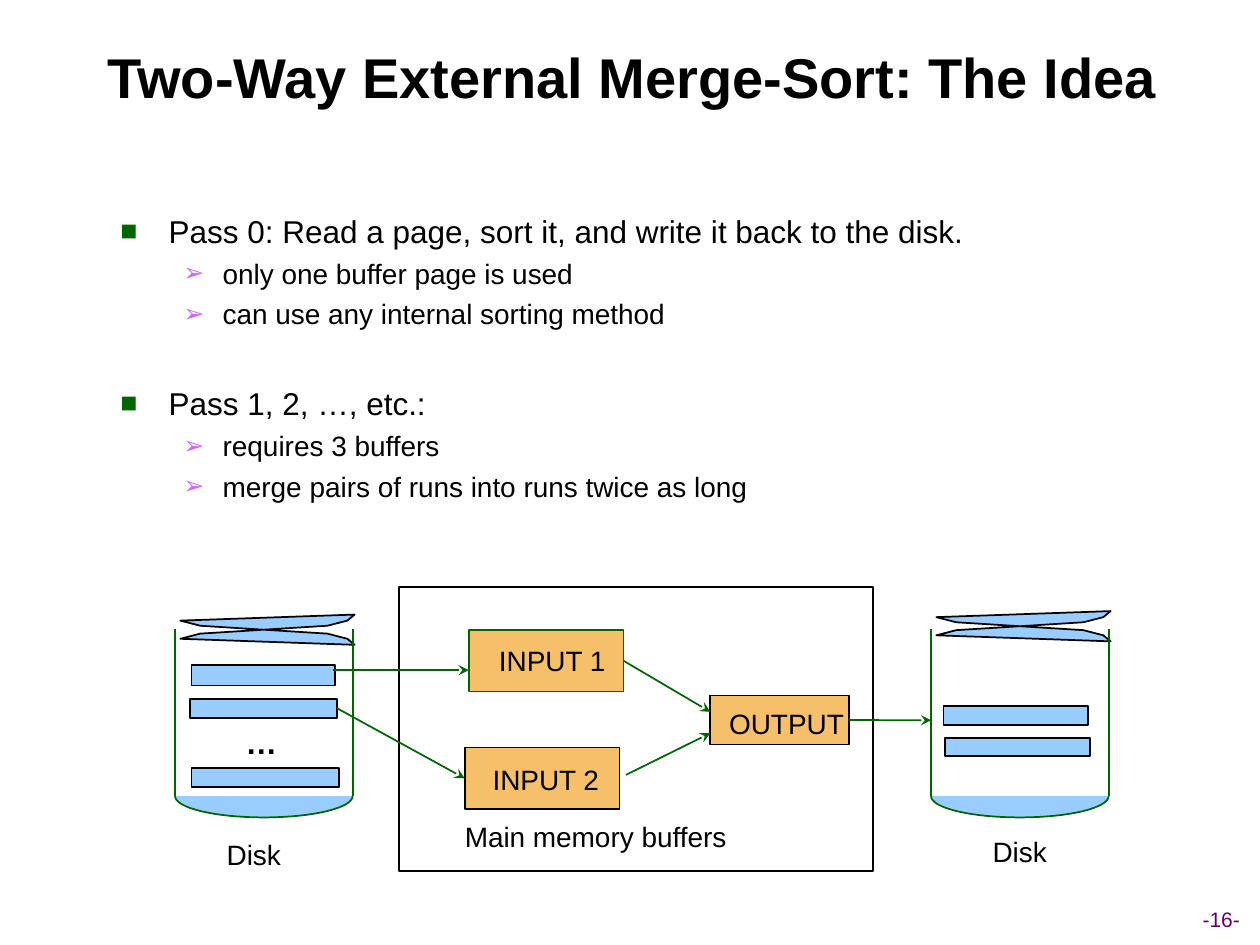
from math import cos, pi, sin

from lxml.etree import SubElement
from pptx import Presentation
from pptx.dml.color import RGBColor
from pptx.enum.shapes import MSO_CONNECTOR as CONN, MSO_SHAPE as SHAPE
from pptx.enum.text import MSO_ANCHOR as ANCHOR, PP_ALIGN as ALIGN
from pptx.oxml.ns import qn
from pptx.util import Cm, Pt

BLACK, GREEN, BLUE, ORANGE = "000000", "006600", "99CCFF", "F6BF69"
DISK_W, DISK_H = 3.58, 3.38
LID_W, LID_H = 3.66, 0.61
LID_QUARTER = [(0.5, 0), (0.46, 0.2), (0.35, 0.37), (0, 0.5)]
BASE_H = 0.43
BULLETS = [
    dict(char="■", color=GREEN, size=18, margin=0.97, indent=-0.97, space=4.5),
    dict(char="➢", color="CC66FF", size=16, margin=2.06, indent=-0.79, space=4),
]


def rgb(value):
    """Turn a hex string into a colour."""
    return RGBColor.from_string(value)


def style_font(p, size, color=BLACK, bold=False):
    """Format every run of a paragraph."""
    for r in p.runs:
        r.font.name, r.font.size, r.font.bold = "Arial", Pt(size), bold
        r.font.color.rgb = rgb(color)


def paint(sp, fill, line):
    """Give a shape its fill and outline and no shadow."""
    sp.shadow.inherit = False
    if fill:
        sp.fill.solid()
        sp.fill.fore_color.rgb = rgb(fill)
    else:
        sp.fill.background()
    sp.line.color.rgb = rgb(line)
    sp.line.width = Pt(1)
    return sp


def add_rect(s, x, y, w, h, fill=None, line=BLACK):
    """Add a plain rectangle."""
    sp = s.shapes.add_shape(SHAPE.RECTANGLE, Cm(x), Cm(y), Cm(w), Cm(h))
    return paint(sp, fill, line)


def add_outline(s, points, line, close):
    """Add a blue outline through points given in centimetres."""
    pts = [(Cm(x), Cm(y)) for x, y in points]
    fb = s.shapes.build_freeform(*pts[0])
    fb.add_line_segments(pts[1:], close=close)
    return paint(fb.convert_to_shape(), BLUE, line)


def add_text(s, text, x, y, w, h=0.94, size=16, color=BLACK, bold=False, align=ALIGN.LEFT):
    """Add a one-paragraph text box."""
    tf = s.shapes.add_textbox(Cm(x), Cm(y), Cm(w), Cm(h)).text_frame
    tf.word_wrap = False
    tf.vertical_anchor = ANCHOR.MIDDLE
    p = tf.paragraphs[0]
    p.text, p.alignment = text, align
    style_font(p, size, color, bold)


def add_line(s, x1, y1, x2, y2, start=None, end=None, arrow=True):
    """Add a green line, joined to (shape, side) pairs where given."""
    c = s.shapes.add_connector(CONN.STRAIGHT, Cm(x1), Cm(y1), Cm(x2), Cm(y2))
    c.line.color.rgb = rgb(GREEN)
    c.line.width = Pt(1)
    if arrow:
        SubElement(c.line._get_or_add_ln(), qn("a:tailEnd"), type="stealth")
    SubElement(c._element.spPr, qn("a:effectLst"))
    if start:
        c.begin_connect(*start)
    if end:
        c.end_connect(*end)


def add_title(s, text, x, y, w, h):
    """Place and format the title placeholder."""
    sp = s.shapes.title
    sp.left, sp.top, sp.width, sp.height = Cm(x), Cm(y), Cm(w), Cm(h)
    tf = sp.text_frame
    tf.text = text
    tf.vertical_anchor = ANCHOR.MIDDLE
    tf.paragraphs[0].alignment = ALIGN.CENTER
    style_font(tf.paragraphs[0], 32, bold=True)


def add_bullets(s, groups, x, y, w, h):
    """List each pass with its remarks below it."""
    tf = s.shapes.add_textbox(Cm(x), Cm(y), Cm(w), Cm(h)).text_frame
    tf.word_wrap = True
    items = [(int(i > 0), text) for group in groups for i, text in enumerate(group)]
    for i, (level, text) in enumerate(items):
        p = tf.paragraphs[0] if i == 0 else tf.add_paragraph()
        b = BULLETS[level]
        p.text, p.level = text, level
        pPr = p._p.get_or_add_pPr()
        pPr.set("marL", str(Cm(b["margin"])))
        pPr.set("indent", str(Cm(b["indent"])))
        SubElement(SubElement(pPr, qn("a:buClr")), qn("a:srgbClr"), val=b["color"])
        SubElement(pPr, qn("a:buSzPct"), val="90000")
        SubElement(pPr, qn("a:buFont"), typeface="Arial")
        SubElement(pPr, qn("a:buChar"), char=b["char"])
        if i:
            p.space_before = Pt(b["space"] if level else 30.5)
        style_font(p, b["size"])


def add_disk(s, x, y, lid_y, pages, label_x, label_y):
    """Draw a disk whose sides start at x, y, and return its page bars."""
    cx = x + DISK_W / 2
    right = LID_QUARTER + [(dx, 1 - dy) for dx, dy in LID_QUARTER[-2::-1]]
    left = [(-dx, dy) for dx, dy in right[-2:0:-1]]
    lid = [(cx + dx * LID_W, y + lid_y + dy * LID_H) for dx, dy in right + left]
    add_outline(s, lid, BLACK, close=True)
    for side in (x, x + DISK_W):
        add_line(s, side, y, side, y + DISK_H, arrow=False)
    angles = [pi * i / 32 for i in range(33)]
    base = [(cx - DISK_W / 2 * cos(a), y + DISK_H + BASE_H * sin(a)) for a in angles]
    add_outline(s, base, GREEN, close=False)
    add_text(s, "Disk", x + label_x, y + label_y, 1.6)
    return [add_rect(s, x + dx, y + dy, w, h, BLUE) for dx, dy, w, h in pages]


def add_buffer(s, text, x, y, w, h, line, inset, drop=0):
    """Draw a labelled buffer."""
    sp = add_rect(s, x, y, w, h, ORANGE, line)
    tf = sp.text_frame
    tf.word_wrap = False
    tf.vertical_anchor = ANCHOR.MIDDLE
    tf.margin_left, tf.margin_right = Cm(inset), 0
    tf.margin_top, tf.margin_bottom = Cm(drop), 0
    tf.text = text
    tf.paragraphs[0].alignment = ALIGN.LEFT
    style_font(tf.paragraphs[0], 16)
    return sp


def add_memory(s, x, y, w, h):
    """Draw main memory and return its two inputs and its output."""
    add_rect(s, x, y, w, h)
    add_text(s, "Main memory buffers", x + 1.07, y + 4.55, 8.31)
    return (
        add_buffer(s, "INPUT 1", x + 1.4, y + 0.86, 3.12, 1.24, GREEN, 0.61),
        add_buffer(s, "INPUT 2", x + 1.32, y + 3.23, 3.12, 1.24, BLACK, 0.56, 0.06),
        add_buffer(s, "OUTPUT", x + 6.27, y + 2.18, 2.79, 0.99, BLACK, 0.38, 0.15),
    )


def add_merge_diagram(s, x, y):
    """Draw the flow from disk through memory and back to disk."""
    source_pages = [(0.33, 0.74, 2.9, 0.41), (0.3, 1.42, 2.97, 0.38), (0.33, 2.82, 2.97, 0.38)]
    target_pages = [(0.25, 1.57, 2.92, 0.38), (0.28, 2.21, 2.92, 0.36)]
    in1, in2, out = add_memory(s, x + 4.52, y, 9.55, 5.72)
    pages = add_disk(s, x, y + 0.83, -0.28, source_pages, 0.79, 4.09)
    add_text(s, "…", x + 1.17, y + 2.61, 1.14, 1.02, 18, bold=True, align=ALIGN.CENTER)
    add_disk(s, x + 15.24, y + 0.83, -0.35, target_pages, 0.99, 4.02)
    add_line(s, x + 3.18, y + 1.67, x + 5.92, y + 1.67)
    add_line(s, x + 3.27, y + 2.44, x + 5.84, y + 3.85, (pages[1], 3), (in2, 1))
    add_line(s, x + 9.04, y + 1.48, x + 10.79, y + 2.51, (in1, 3))
    add_line(s, x + 9.09, y + 3.78, x + 10.79, y + 2.94)
    add_line(s, x + 13.58, y + 2.68, x + 15.24, y + 2.68, (out, 3))


def main():
    """Build the slide and save it."""
    prs = Presentation()
    prs.slide_width, prs.slide_height = Cm(25.4), Cm(19.05)
    s = prs.slides.add_slide(prs.slide_layouts[5])
    add_title(s, "Two-Way External Merge-Sort: The Idea", 0.97, 0.33, 23.55, 2.41)
    add_bullets(s, [
        ["Pass 0: Read a page, sort it, and write it back to the disk.",
         "only one buffer page is used",
         "can use any internal sorting method"],
        ["Pass 1, 2, …, etc.:",
         "requires 3 buffers",
         "merge pairs of runs into runs twice as long"],
    ], 2.18, 4.14, 21.29, 6.6)
    add_merge_diagram(s, 3.53, 11.84)
    add_text(s, "-16-", 23.86, 18.14, 1.52, 0.76, 12, "660066", align=ALIGN.CENTER)
    prs.save("out.pptx")


if __name__ == "__main__":
    main()
